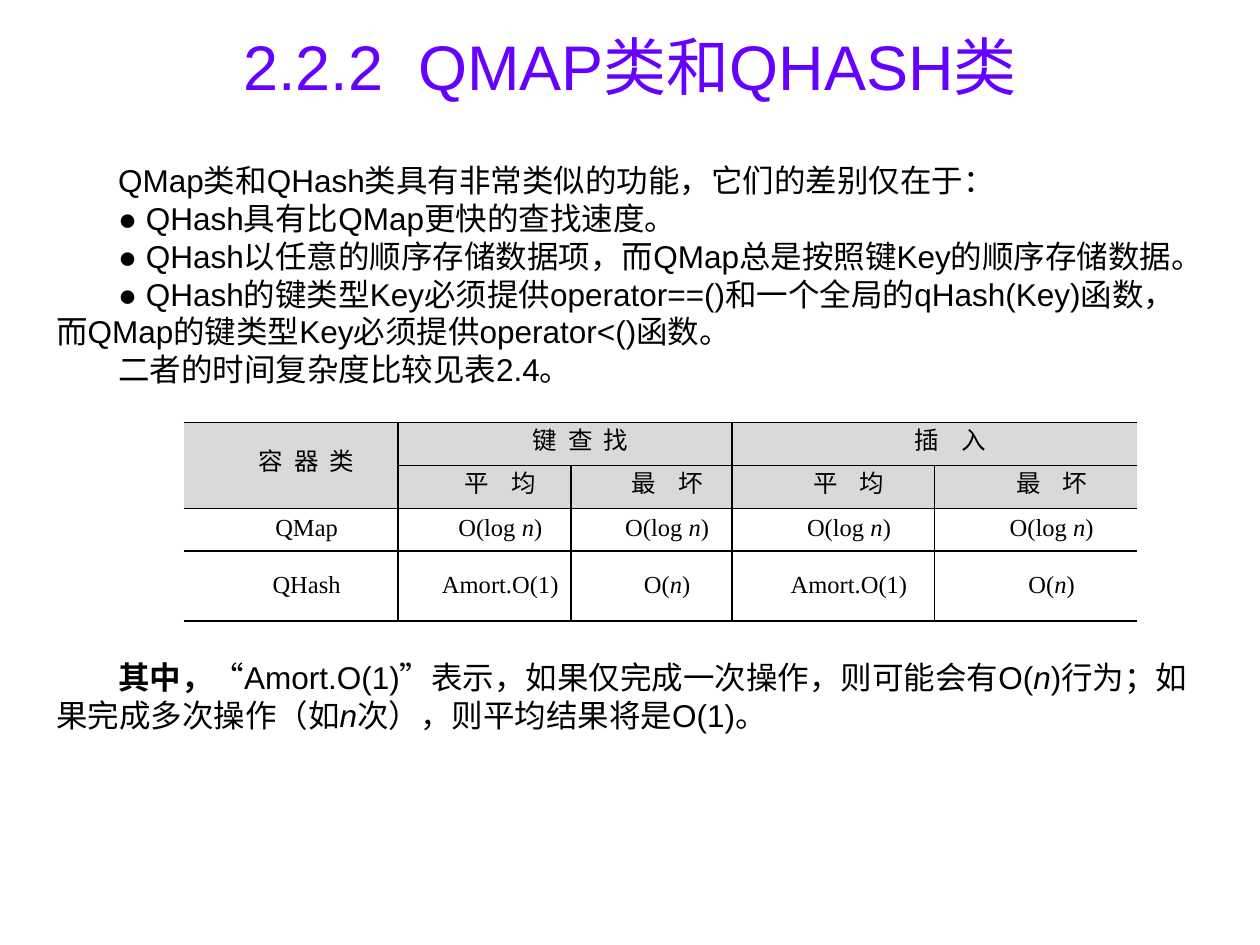
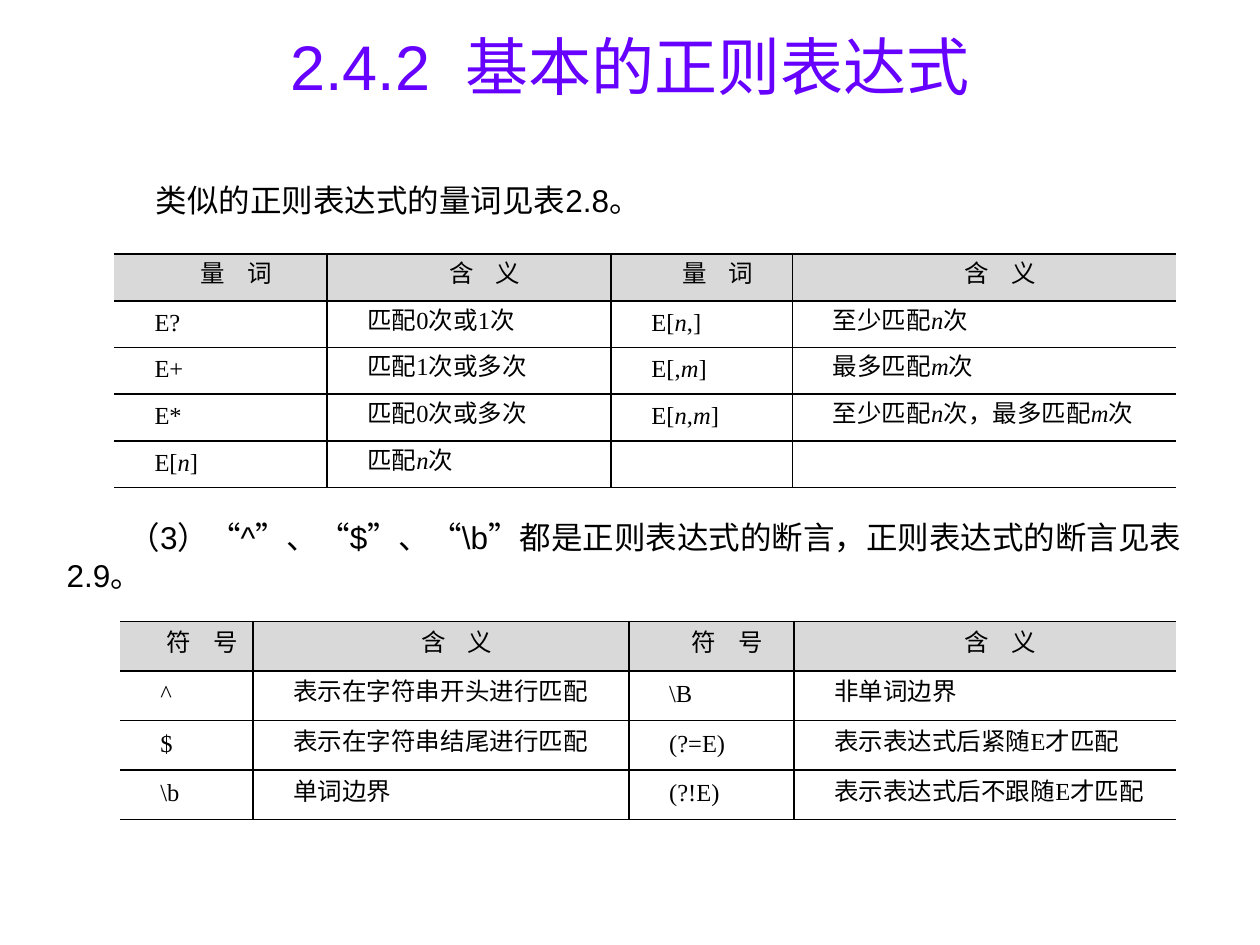
from dataclasses import dataclass

from lxml import etree
from pptx import Presentation
from pptx.dml.color import RGBColor
from pptx.enum.text import MSO_ANCHOR, MSO_AUTO_SIZE, PP_ALIGN
from pptx.oxml.ns import qn
from pptx.util import Pt

CENTER, JUSTIFY = PP_ALIGN.CENTER, PP_ALIGN.JUSTIFY
MIDDLE = MSO_ANCHOR.MIDDLE
GROW = MSO_AUTO_SIZE.SHAPE_TO_FIT_TEXT

COLORS = {"title": "6600FF", "text": "000000", "header": "D9D9D9", "border": "000000"}
SANS, SERIF = "Arial", "Times New Roman"
TITLE_SIZE, BODY_SIZE, CELL_SIZE = 36, 18, 14
BODY_INDENT, CELL_INDENT, CELL_MARGIN = 35.4, 18, 5
BORDER_WIDTH = 1
PLAIN_TABLE_STYLE = "{2D5ABB26-0587-4C30-8999-92F81FD0307C}"
TITLE_ONLY = 5


@dataclass
class Body:
    """Text block; underscores enclose italics, bold_lead opens the first paragraph."""
    left: float
    top: float
    width: float
    height: float
    paragraphs: list[str]
    indent: float = BODY_INDENT
    bold_lead: str = ""


@dataclass
class Grid:
    """Ruled table; merges hold first row, first column, last row, last column."""
    left: float
    top: float
    columns: list[float]
    row_heights: list[float]
    cells: list[list[str]]
    header_rows: int = 1
    header_font: str = SANS
    body_align: PP_ALIGN = JUSTIFY
    middle_width: float = 1.5
    merges: tuple[tuple[int, int, int, int], ...] = ()


@dataclass
class Page:
    title: str
    items: list[Body | Grid]


def add_span(para, text: str, font: str, size: float, color: str = "text",
             italic: bool = False, bold: bool = False) -> None:
    span = para.add_run()
    span.text = text
    span.font.name = font
    span.font.size = Pt(size)
    span.font.italic = italic
    span.font.bold = bold
    span.font.color.rgb = RGBColor.from_string(COLORS[color])


def add_marked_text(para, text: str, font: str, size: float) -> None:
    """Add runs, setting whatever stands between underscores in italics."""
    for index, part in enumerate(text.split("_")):
        if part:
            add_span(para, part, font, size, italic=index % 2 == 1)


def indent_first_line(para, indent: float) -> None:
    properties = para._p.get_or_add_pPr()
    properties.set("marL", "0")
    properties.set("indent", str(Pt(indent)))


def set_title(slide, text: str) -> None:
    title = slide.shapes.title
    title.left, title.top, title.width, title.height = Pt(24), Pt(3.6), Pt(672), Pt(67.5)
    title.text_frame.vertical_anchor = MIDDLE
    para = title.text_frame.paragraphs[0]
    para.alignment = CENTER
    add_span(para, text, SANS, TITLE_SIZE, "title")


def add_body(slide, body: Body) -> None:
    box = slide.shapes.add_textbox(Pt(body.left), Pt(body.top), Pt(body.width), Pt(body.height))
    frame = box.text_frame
    frame.word_wrap = True
    frame.auto_size = GROW
    for index, text in enumerate(body.paragraphs):
        para = frame.add_paragraph() if index else frame.paragraphs[0]
        indent_first_line(para, body.indent)
        if body.bold_lead and index == 0:
            add_span(para, body.bold_lead, SANS, BODY_SIZE, bold=True)
        add_marked_text(para, text, SANS, BODY_SIZE)


def set_borders(cell, widths: dict[str, float]) -> None:
    """Rule the given sides; lines must come before the fill in tcPr."""
    properties = cell._tc.get_or_add_tcPr()
    for position, (side, width) in enumerate(widths.items()):
        line = etree.Element(qn(f"a:ln{side}"), w=str(Pt(width)))
        fill = etree.SubElement(line, qn("a:solidFill"))
        etree.SubElement(fill, qn("a:srgbClr"), val=COLORS["border"])
        properties.insert(position, line)


def border_widths(grid: Grid, column: int, span: int) -> dict[str, float]:
    """All sides but the outer left and right ones, in schema order."""
    def edge_width(edge: int) -> float:
        return grid.middle_width if edge == len(grid.columns) // 2 else BORDER_WIDTH

    widths = {}
    if column > 0:
        widths["L"] = edge_width(column)
    if column + span < len(grid.columns):
        widths["R"] = edge_width(column + span)
    return widths | {"T": BORDER_WIDTH, "B": BORDER_WIDTH}


def fill_cell(cell, text: str, is_header: bool, grid: Grid) -> None:
    cell.margin_left = cell.margin_right = Pt(CELL_MARGIN)
    cell.margin_top = cell.margin_bottom = 0
    cell.vertical_anchor = MIDDLE
    if is_header:
        cell.fill.solid()
        cell.fill.fore_color.rgb = RGBColor.from_string(COLORS["header"])
    else:
        cell.fill.background()
    para = cell.text_frame.paragraphs[0]
    para.alignment = CENTER if is_header else grid.body_align
    para.line_spacing = Pt(CELL_SIZE)
    indent_first_line(para, CELL_INDENT)
    add_marked_text(para, text, grid.header_font if is_header else SERIF, CELL_SIZE)


def add_grid(slide, grid: Grid) -> None:
    frame = slide.shapes.add_table(
        len(grid.row_heights), len(grid.columns), Pt(grid.left), Pt(grid.top),
        Pt(sum(grid.columns)), Pt(sum(grid.row_heights)))
    table = frame.table
    table._tbl.tblPr.find(qn("a:tableStyleId")).text = PLAIN_TABLE_STYLE
    table.first_row = table.horz_banding = False
    for column, width in zip(table.columns, grid.columns):
        column.width = Pt(width)
    for row, height in zip(table.rows, grid.row_heights):
        row.height = Pt(height)
    for top, left, bottom, right in grid.merges:
        table.cell(top, left).merge(table.cell(bottom, right))
    for row_index, texts in enumerate(grid.cells):
        for column_index, text in enumerate(texts):
            cell = table.cell(row_index, column_index)
            if cell.is_spanned:
                continue
            fill_cell(cell, text, row_index < grid.header_rows, grid)
            span = cell.span_width if cell.is_merge_origin else 1
            set_borders(cell, border_widths(grid, column_index, span))


COMPLEXITY_TABLE = Grid(
    105, 241.5, [122.5, 98.8, 92, 115.8, 115.8], [24.5, 24.5, 24.5, 40],
    [
        ["容  器  类", "键  查  找", "", "插    入", ""],
        ["", "平    均", "最    坏", "平    均", "最    坏"],
        ["QMap"] + ["O(log _n_)"] * 4,
        ["QHash"] + ["Amort.O(1)", "O(_n_)"] * 2,
    ],
    header_rows=2, body_align=CENTER, middle_width=BORDER_WIDTH,
    merges=((0, 0, 1, 0), (0, 1, 0, 2), (0, 3, 0, 4)))

QUANTIFIER_TABLE = Grid(
    65.3, 145.2, [121.5, 162.5, 103.7, 219.2], [26.7] * 5,
    [
        ["量    词", "含    义"] * 2,
        ["E?", "匹配0次或1次", "E[_n_,]", "至少匹配_n_次"],
        ["E+", "匹配1次或多次", "E[,_m_]", "最多匹配_m_次"],
        ["E*", "匹配0次或多次", "E[_n_,_m_]", "至少匹配_n_次，最多匹配_m_次"],
        ["E[_n_]", "匹配_n_次", "", ""],
    ],
    header_font=SERIF)

ASSERTION_TABLE = Grid(
    68.6, 355, [76, 214.8, 94.3, 218.2], [28.35] * 4,
    [
        ["符    号", "含    义"] * 2,
        ["^", "表示在字符串开头进行匹配", "\\B", "非单词边界"],
        ["$", "表示在字符串结尾进行匹配", "(?=E)", "表示表达式后紧随E才匹配"],
        ["\\b", "单词边界", "(?!E)", "表示表达式后不跟随E才匹配"],
    ])

PAGES = [
    Page("2.2.2  QMAP类和QHASH类", [
        Body(25, 88.6, 669, 160, [
            "QMap类和QHash类具有非常类似的功能，它们的差别仅在于：",
            "● QHash具有比QMap更快的查找速度。",
            "● QHash以任意的顺序存储数据项，而QMap总是按照键Key的顺序存储数据。",
            "● QHash的键类型Key必须提供operator==()和一个全局的qHash(Key)函数，"
            "而QMap的键类型Key必须提供operator<()函数。",
            "二者的时间复杂度比较见表2.4。",
        ]),
        COMPLEXITY_TABLE,
        Body(25, 372.3, 669, 72.7, [
            "“Amort.O(1)”表示，如果仅完成一次操作，则可能会有O(_n_)行为；"
            "如果完成多次操作（如_n_次），则平均结果将是O(1)。",
        ], bold_lead="其中，"),
    ]),
    Page("2.4.2  基本的正则表达式", [
        Body(82, 100, 374.5, 29, ["类似的正则表达式的量词见表2.8。"], indent=0),
        QUANTIFIER_TABLE,
        Body(31, 292.5, 663, 72.7, [
            "（3）“^”、“$”、“\\b”都是正则表达式的断言，正则表达式的断言见表2.9。",
        ]),
        ASSERTION_TABLE,
    ]),
]


def main() -> None:
    deck = Presentation()
    deck.slide_width, deck.slide_height = Pt(720), Pt(540)
    for page in PAGES:
        slide = deck.slides.add_slide(deck.slide_layouts[TITLE_ONLY])
        set_title(slide, page.title)
        for item in page.items:
            if isinstance(item, Grid):
                add_grid(slide, item)
            else:
                add_body(slide, item)
    deck.save("out.pptx")


if __name__ == "__main__":
    main()
